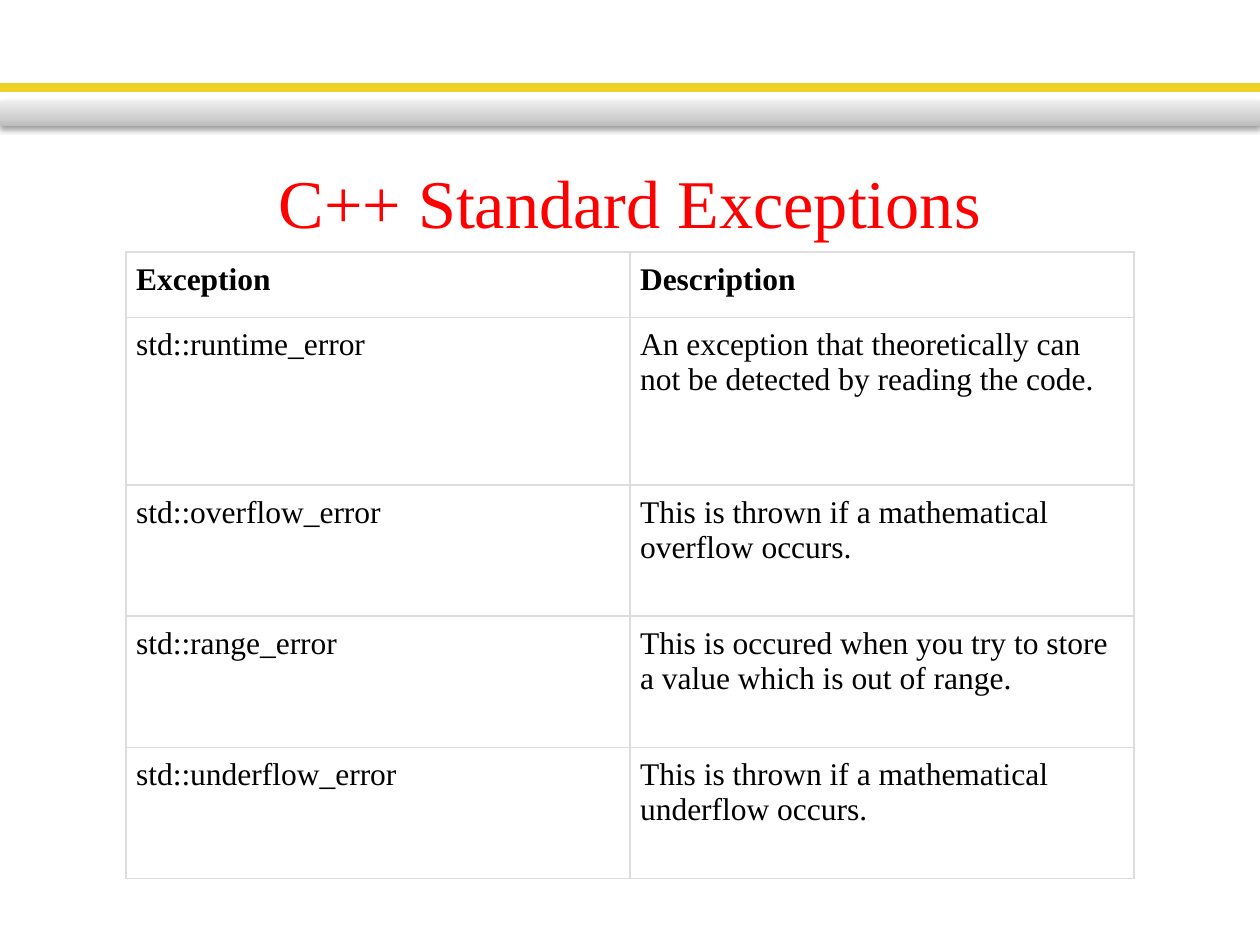
from lxml import etree
from pptx import Presentation
from pptx.dml.color import RGBColor
from pptx.enum.shapes import MSO_SHAPE
from pptx.enum.text import MSO_ANCHOR, PP_ALIGN
from pptx.oxml import parse_xml
from pptx.oxml.ns import nsdecls, qn
from pptx.util import Inches, Pt

COLORS = {
    "title": "FF0000",
    "text": "000000",
    "stripe": "EED126",
    "border": "DDDDDD",
    "shadow": "000000",
}
BAR_STOPS = [(0, "BDBDBD"), (35, "D1D1D1"), (100, "EEEEEE")]
FONT = "Times New Roman"

ROWS = [
    ("Exception", "Description"),
    ("std::runtime_error",
     "An exception that theoretically can not be detected by reading the code."),
    ("std::overflow_error", "This is thrown if a mathematical overflow occurs."),
    ("std::range_error",
     "This is occured when you try to store a value which is out of range."),
    ("std::underflow_error", "This is thrown if a mathematical underflow occurs."),
]
ROW_HEIGHTS = [0.52, 1.33, 1.04, 1.04, 1.04]


def write_text(tf, text, size=18, color="text", bold=False, align=PP_ALIGN.LEFT):
    p = tf.paragraphs[0]
    p.alignment = align
    r = p.add_run()
    r.text = text
    r.font.name = FONT
    r.font.size = Pt(size)
    r.font.bold = bold
    r.font.color.rgb = RGBColor.from_string(COLORS[color])


class SlideBuilder:
    def __init__(self, slide):
        self.slide = slide

    def rect(self, x, y, w, h):
        sp = self.slide.shapes.add_shape(
            MSO_SHAPE.RECTANGLE, Inches(x), Inches(y), Inches(w), Inches(h))
        sp.shadow.inherit = False
        sp.line.fill.background()
        return sp

    def stripe(self, x, y, w, h, color):
        sp = self.rect(x, y, w, h)
        rgb = RGBColor.from_string(COLORS[color])
        sp.fill.solid()
        sp.fill.fore_color.rgb = rgb
        sp.line.color.rgb = rgb
        sp.line.width = Pt(2)

    def gradient_bar(self, x, y, w, h, stops):
        sp = self.rect(x, y, w, h)
        gs = "".join(f'<a:gs pos="{pos * 1000}"><a:srgbClr val="{color}"/></a:gs>'
                     for pos, color in stops)
        sp._element.spPr.find(qn("a:prstGeom")).addnext(parse_xml(
            f'<a:gradFill {nsdecls("a")} rotWithShape="1"><a:gsLst>{gs}</a:gsLst>'
            '<a:lin ang="16200000" scaled="0"/></a:gradFill>'))
        # Soft shadow below the bar
        sp._element.spPr.find(qn("a:effectLst")).append(parse_xml(
            f'<a:outerShdw {nsdecls("a")} blurRad="{Pt(3.1)}" dist="{Pt(1.6)}" '
            f'dir="5400000" rotWithShape="0"><a:srgbClr val="{COLORS["shadow"]}">'
            '<a:alpha val="38000"/></a:srgbClr></a:outerShdw>'))

    def title(self, x, y, w, h, text):
        box = self.slide.shapes.add_textbox(
            Inches(x), Inches(y), Inches(w), Inches(h))
        tf = box.text_frame
        tf.word_wrap = True
        tf.margin_top = Inches(0.1)
        tf.vertical_anchor = MSO_ANCHOR.TOP
        write_text(tf, text, size=39, color="title", align=PP_ALIGN.CENTER)

    def borders(self, cell, color, width):
        tc_pr = cell._tc.get_or_add_tcPr()
        for i, side in enumerate(("lnL", "lnR", "lnT", "lnB")):
            ln = etree.Element(qn(f"a:{side}"), w=str(Pt(width)))
            fill = etree.SubElement(ln, qn("a:solidFill"))
            etree.SubElement(fill, qn("a:srgbClr"), val=COLORS[color])
            tc_pr.insert(i, ln)

    def table(self, x, y, w, rows, heights):
        table = self.slide.shapes.add_table(
            len(rows), len(rows[0]), Inches(x), Inches(y),
            Inches(w), Inches(sum(heights))).table
        table.first_row = table.horz_banding = False
        for i, (row, height) in enumerate(zip(rows, heights)):
            table.rows[i].height = Inches(height)
            for j, text in enumerate(row):
                cell = table.cell(i, j)
                cell.margin_left = cell.margin_right = Inches(0.08)
                cell.margin_top = cell.margin_bottom = Inches(0.08)
                cell.fill.background()
                self.borders(cell, "border", 0.75)
                write_text(cell.text_frame, text, bold=i == 0)


def main():
    prs = Presentation()
    prs.slide_width, prs.slide_height = Inches(10), Inches(7.5)
    s = SlideBuilder(prs.slides.add_slide(prs.slide_layouts[6]))

    # Header bands
    s.stripe(0, 0.67, 10, 0.05, "stripe")
    s.gradient_bar(0, 0.8, 10, 0.2, BAR_STOPS)

    # Title and exception table
    s.title(0.5, 1.17, 9, 1, "C++ Standard Exceptions")
    s.table(1, 2, 8, ROWS, ROW_HEIGHTS)

    prs.save("out.pptx")


if __name__ == "__main__":
    main()
